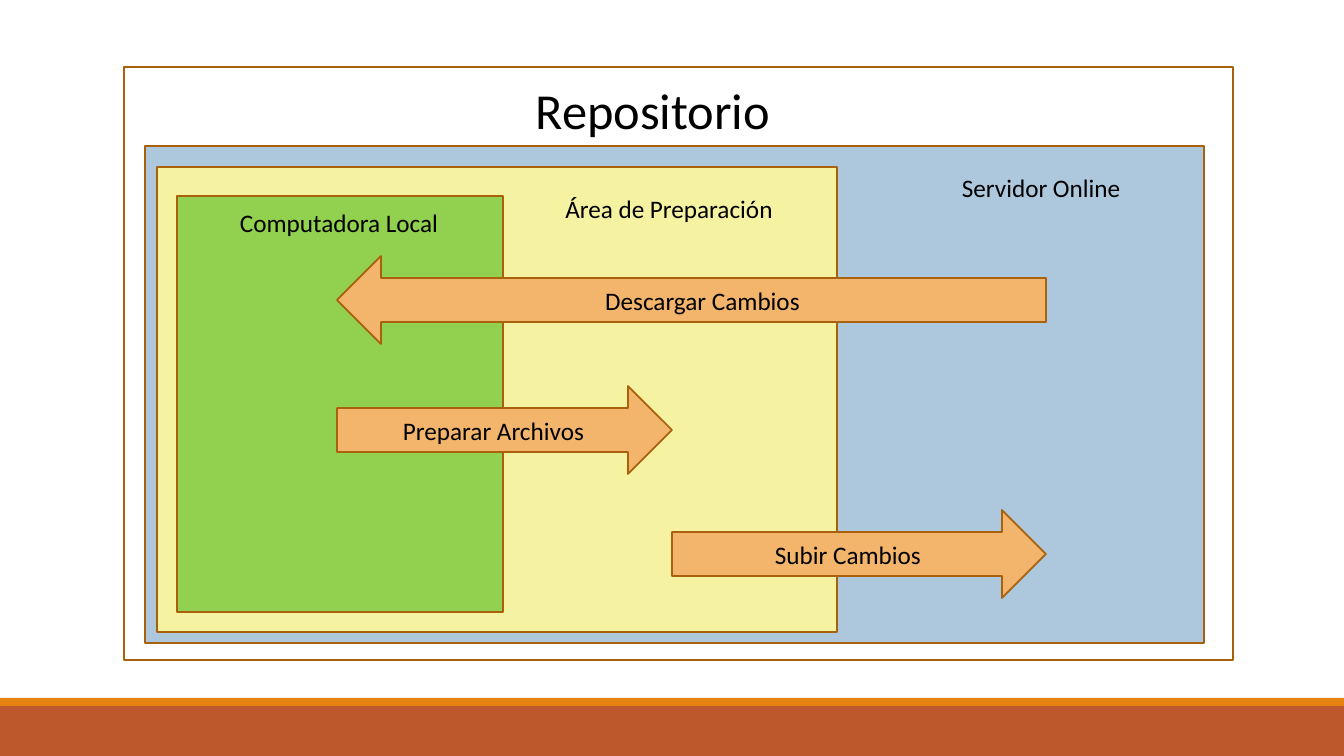
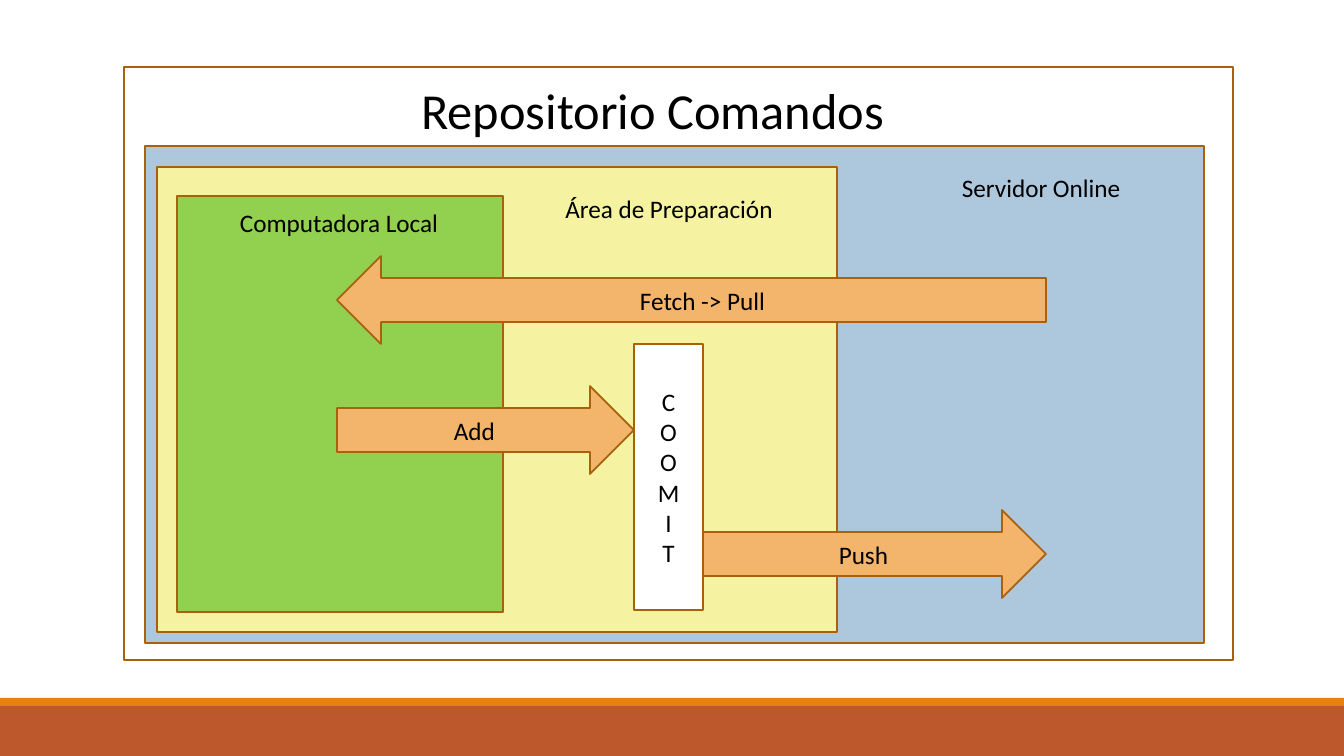
from pptx import Presentation
from pptx.dml.color import RGBColor
from pptx.enum.shapes import MSO_SHAPE
from pptx.enum.text import MSO_ANCHOR, MSO_AUTO_SIZE, PP_ALIGN
from pptx.oxml.ns import qn
from pptx.util import Pt

RECT = MSO_SHAPE.RECTANGLE
RIGHT, LEFT_ARROW = MSO_SHAPE.RIGHT_ARROW, MSO_SHAPE.LEFT_ARROW
CENTER, LEFT = PP_ALIGN.CENTER, PP_ALIGN.LEFT
TOP, MIDDLE = MSO_ANCHOR.TOP, MSO_ANCHOR.MIDDLE
NO_AUTOSIZE = MSO_AUTO_SIZE.NONE

SLIDE_W, SLIDE_H = 1344, 756
EMU_PER_PX = 12192000 / SLIDE_W
FONT = "Calibri"
TITLE_PT, BODY_PT = 36, 18
BLACK, WHITE, OUTLINE, ARROW = "000000", "FFFFFF", "A9610D", "F3B56C"

BANDS = [
    ((0, 706, SLIDE_W, 50), "BD582C"),
    ((0, 698, SLIDE_W, 8), "E48312"),
]
ZONES = [
    ((124, 67, 1109, 593), WHITE),
    ((145, 146, 1059, 497), "ADC8DD"),
    ((157, 167, 680, 465), "F5F3A1"),
    ((177, 196, 326, 416), "92D050"),
]
ZONE_LABELS = [
    ("Área de Preparación", (521, 188, 296, 40), CENTER, True),
    ("Computadora Local", (230, 202, 221, 72), LEFT, False),
    ("Servidor Online", (952, 167, 180, 40), LEFT, False),
]
TITLE_BOX = (398, 74, 510, 72)
COMMIT_BOX = (634, 344, 69, 266)
LOCAL_X, STAGING_X, SERVER_X = 337, 672, 1046
UPLOAD_Y, DOWNLOAD_Y, PREPARE_Y = 510, 256, 386
ARROW_H = 88

SLIDES = [
    {
        "title": "Repositorio",
        "upload": "Subir Cambios",
        "download": "Descargar Cambios",
        "prepare": "Preparar Archivos",
        "commit": None,
    },
    {
        "title": "Repositorio Comandos",
        "upload": "Push",
        "download": "Fetch -> Pull",
        "prepare": "Add",
        "commit": "COOMIT",
    },
]


def rgb(value):
    return RGBColor.from_string(value)


def emu(box):
    return [round(px * EMU_PER_PX) for px in box]


def write(shape, text, size=BODY_PT, align=CENTER, anchor=MIDDLE, wrap=True):
    frame = shape.text_frame
    frame.text = text
    frame.word_wrap = wrap
    frame.auto_size = NO_AUTOSIZE
    frame.vertical_anchor = anchor
    paragraph = frame.paragraphs[0]
    paragraph.alignment = align
    paragraph.font.name = FONT
    paragraph.font.size = Pt(size)
    paragraph.font.color.rgb = rgb(BLACK)


def add_block(slide, kind, box, fill, line=OUTLINE, text=None):
    block = slide.shapes.add_shape(kind, *emu(box))
    block.shadow.inherit = False
    block.fill.solid()
    block.fill.fore_color.rgb = rgb(fill)
    if line:
        block.line.color.rgb = rgb(line)
        block.line.width = Pt(1.25)
    else:
        block.line.fill.background()
    if text:
        write(block, text)
    return block


def add_bands(layout, slide):
    for number, (box, fill) in enumerate(BANDS):
        band = add_block(slide, RECT, box, fill, line=None)
        band.element.nvSpPr.cNvPr.set("id", str(100 + number))
        layout.shapes.element.append(band.element)


def place_title(slide, text):
    title = slide.shapes.title
    title.left, title.top, title.width, title.height = emu(TITLE_BOX)
    write(title, text, TITLE_PT, anchor=TOP)
    slide.shapes.element.append(title.element)


def add_zones(slide):
    for box, fill in ZONES:
        add_block(slide, RECT, box, fill)
    for text, box, align, wrap in ZONE_LABELS:
        label = slide.shapes.add_textbox(*emu(box))
        write(label, text, align=align, anchor=TOP, wrap=wrap)


def add_flow(slide, content):
    commit = content["commit"]
    commit_left, _, commit_width, _ = COMMIT_BOX
    prepare_end = commit_left if commit else STAGING_X
    upload_start = commit_left + commit_width if commit else STAGING_X
    flows = [
        ("upload", RIGHT, upload_start, SERVER_X, UPLOAD_Y),
        ("download", LEFT_ARROW, LOCAL_X, SERVER_X, DOWNLOAD_Y),
        ("prepare", RIGHT, LOCAL_X, prepare_end, PREPARE_Y),
    ]
    for key, kind, start, end, top in flows:
        box = (start, top, end - start, ARROW_H)
        add_block(slide, kind, box, ARROW, text=content[key])
    if commit:
        gate = add_block(slide, RECT, COMMIT_BOX, WHITE, text=commit)
        gate.element.txBody.find(qn("a:bodyPr")).set("vert", "wordArtVert")


def main():
    deck = Presentation()
    deck.slide_width, deck.slide_height = emu((SLIDE_W, SLIDE_H))
    layout = deck.slide_layouts.get_by_name("Title Only")
    for number, content in enumerate(SLIDES):
        slide = deck.slides.add_slide(layout)
        if number == 0:
            add_bands(layout, slide)
        add_zones(slide)
        place_title(slide, content["title"])
        add_flow(slide, content)
    deck.save("out.pptx")


if __name__ == "__main__":
    main()
